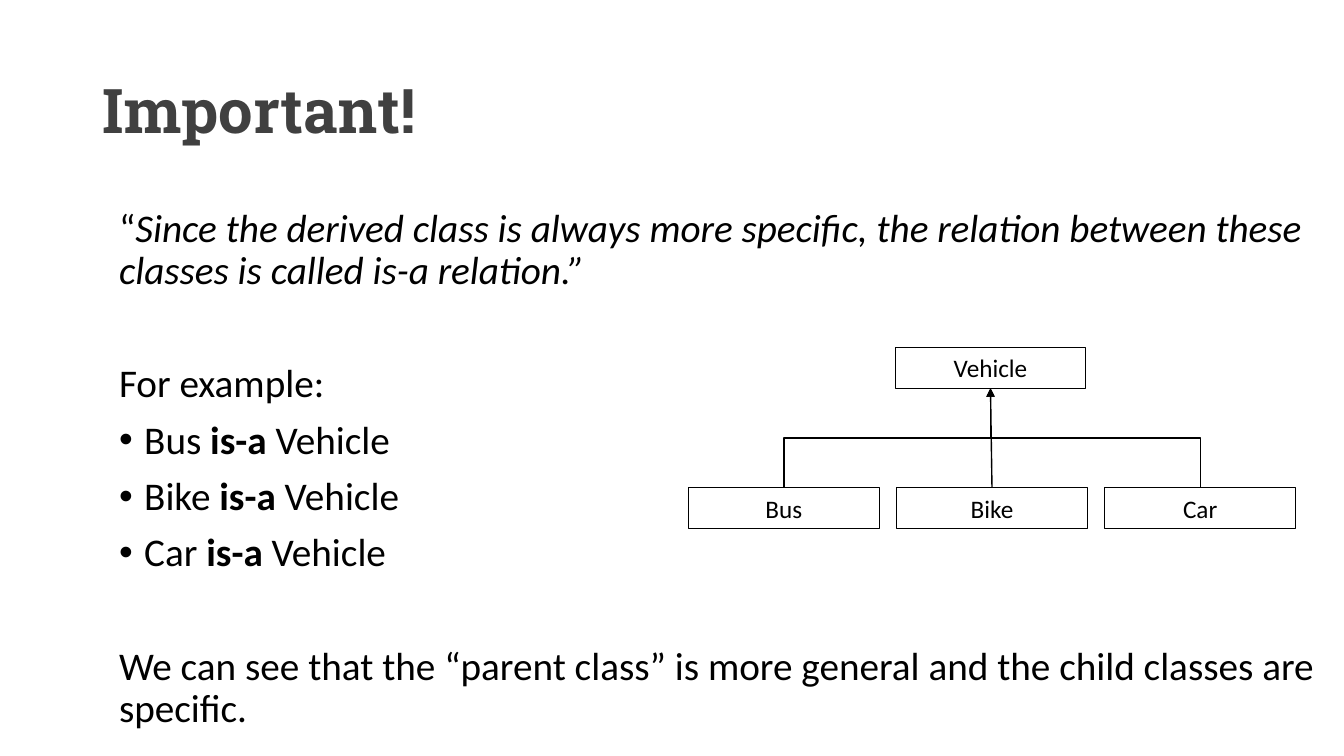
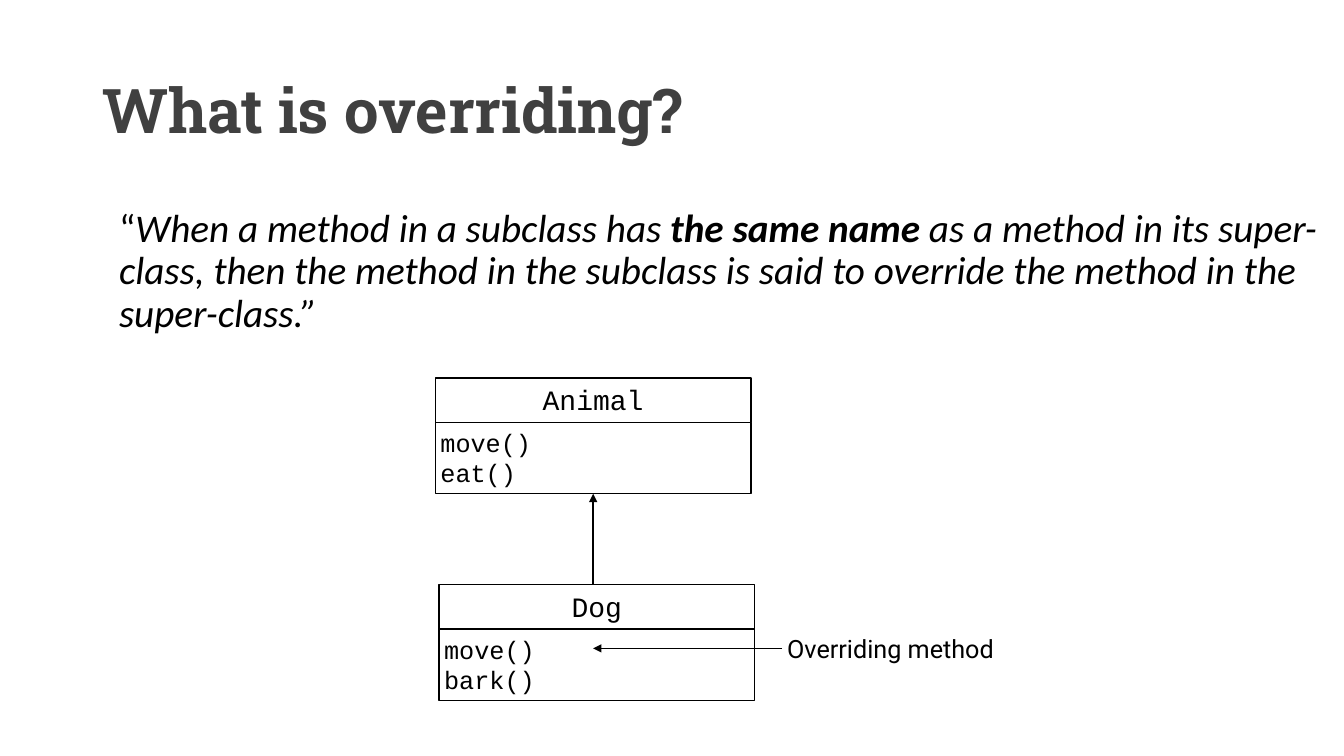
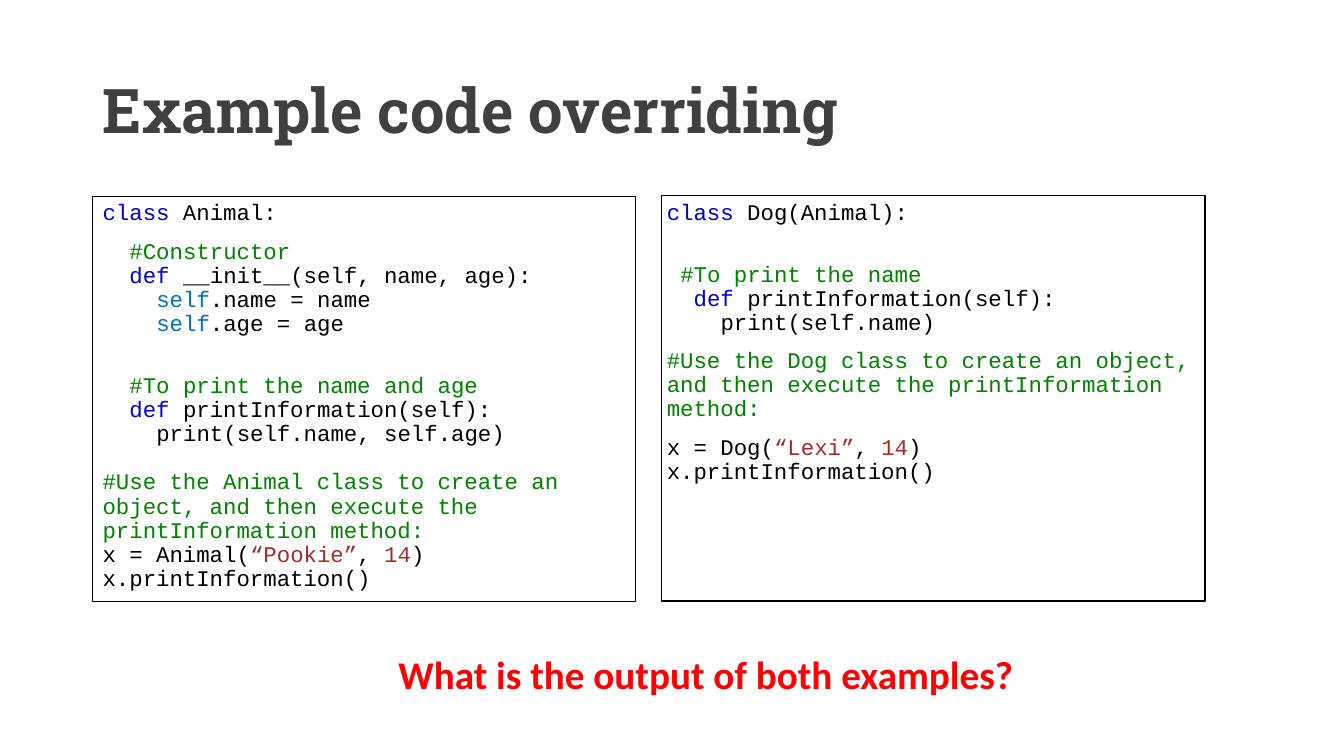
from dataclasses import dataclass

from lxml.etree import SubElement
from pptx import Presentation
from pptx.dml.color import RGBColor
from pptx.enum.shapes import MSO_CONNECTOR as Link, MSO_SHAPE as Preset
from pptx.enum.text import MSO_ANCHOR as Anchor, MSO_AUTO_SIZE as AutoSize, PP_ALIGN as Align
from pptx.oxml.ns import qn
from pptx.util import Pt


@dataclass(frozen=True)
class Theme:
    # Colours
    title: str = "404040"
    ink: str = "000000"
    keyword: str = "0000CD"
    own: str = "0070C0"
    comment: str = "008000"
    literal: str = "A52A2A"
    question: str = "FF0000"
    # Fonts
    title_font: str = "Roboto Slab"
    body_font: str = "Calibri"
    code_font: str = "Courier New"
    label_font: str = "Roboto"
    # Type sizes
    title_size: int = 44
    body_size: int = 28
    class_size: int = 20
    label_size: int = 18
    code_size: int = 16
    # Spacing
    leading: float = 0.9
    gap: int = 10
    thin: float = 0.75
    line: float = 1
    inset: float = 3.6


THEME = Theme()
TITLE_ONLY, TITLE_AND_BODY = 5, 1
TITLE_BOX = (66.2, 28.8, 828, 104.4)
BODY_BOX = (77.8, 145.4, 882, 384.5)
CODE_CHAR = 9.6  # width of one code character

PLAIN, BOLD, ITALIC = {}, {"bold": True}, {"italic": True}
BOLD_ITALIC = BOLD | ITALIC
KEYWORD = {"color": THEME.keyword}
OWN = {"color": THEME.own}
COMMENT = {"color": THEME.comment}
LITERAL = {"color": THEME.literal}

# Code lines: (indent in characters, space before, pieces)
ANIMAL_CODE = [
    (0, 0, [("class", KEYWORD), (" Animal:", PLAIN)]),
    (2, 10, [("#Constructor", COMMENT)]),
    (2, 0, [("def", KEYWORD), (" __init__(self, name, age):", PLAIN)]),
    (4, 0, [("self", OWN), (".name = name", PLAIN)]),
    (4, 0, [("self", OWN), (".age = age", PLAIN)]),
    (2, 27, [("#To print the name and age", COMMENT)]),
    (2, 0, [("def ", KEYWORD), ("printInformation(self):", PLAIN)]),
    (4, 0, [("print(self.name, self.age)", PLAIN)]),
    (0, 17, [("#Use the Animal class to create an object, and then execute "
              "the printInformation method:", COMMENT)]),
    (0, 0, [("x = Animal(", PLAIN), ("“Pookie”", LITERAL), (", ", PLAIN),
            ("14", LITERAL), (")", PLAIN)]),
    (0, 0, [("x.printInformation()", PLAIN)]),
]
DOG_CODE = [
    (0, 0, [("class", KEYWORD), (" Dog(Animal):", PLAIN)]),
    (1, 27, [("#To print the name", COMMENT)]),
    (2, 0, [("def ", KEYWORD), ("printInformation(self):", PLAIN)]),
    (4, 0, [("print(self.name)", PLAIN)]),
    (0, 10, [("#Use the Dog class to create an object, and then execute "
              "the printInformation method:", COMMENT)]),
    (0, 10, [("x = Dog(", PLAIN), ("“Lexi”", LITERAL), (",", PLAIN),
             (" 14", LITERAL), (")", PLAIN)]),
    (0, 0, [("x.printInformation()", PLAIN)]),
]


# Text
def style_run(run, font, size, color=THEME.ink, bold=False, italic=False):
    run.font.name = font
    run.font.size = Pt(size)
    run.font.color.rgb = RGBColor.from_string(color)
    run.font.bold = bold
    run.font.italic = italic


def write(paragraph, pieces, font, size, before=0, margin=0, bullet=False):
    for text, style in pieces:
        run = paragraph.add_run()
        run.text = text
        style_run(run, font, size, **style)
    paragraph.line_spacing = THEME.leading
    paragraph.space_before = Pt(before)
    properties = paragraph._p.get_or_add_pPr()
    properties.set("marL", str(Pt(margin)))
    properties.set("indent", str(Pt(-margin if bullet else 0)))
    if bullet:
        SubElement(properties, qn("a:buChar")).set("char", "•")
    else:
        SubElement(properties, qn("a:buNone"))


def paragraphs(frame, count):
    """Return the frame's first paragraph and as many new ones as needed."""
    return [frame.paragraphs[0]] + [frame.add_paragraph() for _ in range(count - 1)]


def set_frame(frame, inset=None):
    frame.word_wrap = True
    frame.auto_size = AutoSize.NONE
    frame.vertical_anchor = Anchor.TOP
    if inset is not None:
        frame.margin_left = frame.margin_right = Pt(inset)
        frame.margin_top = frame.margin_bottom = Pt(inset)


# Slides
def place_master(master):
    for placeholder, box in zip(master.placeholders, (TITLE_BOX, BODY_BOX)):
        placeholder.left, placeholder.top, placeholder.width, placeholder.height = map(Pt, box)


def new_slide(prs, title, layout):
    slide = prs.slides.add_slide(prs.slide_layouts[layout])
    frame = slide.shapes.title.text_frame
    frame.text = title
    frame.auto_size = AutoSize.NONE
    heading = frame.paragraphs[0]
    heading.alignment = Align.LEFT
    heading.line_spacing = THEME.leading
    style_run(heading.runs[0], THEME.title_font, THEME.title_size, THEME.title, bold=True)
    return slide


def fill_body(slide, items):
    """Each item is (pieces, space before, is bullet)."""
    frame = slide.placeholders[1].text_frame
    set_frame(frame)
    for paragraph, (pieces, before, bullet) in zip(paragraphs(frame, len(items)), items):
        write(paragraph, pieces, THEME.body_font, THEME.body_size, before,
              18 if bullet else 0, bullet)


# Boxes
def outline_box(slide, box, weight, inset=None):
    shape = slide.shapes.add_shape(Preset.RECTANGLE, *map(Pt, box))
    shape.shadow.inherit = False
    shape.fill.background()
    shape.line.color.rgb = RGBColor.from_string(THEME.ink)
    shape.line.width = Pt(weight)
    set_frame(shape.text_frame, inset)
    return shape


def set_label(shape, text, font, size, align):
    shape.text_frame.text = text
    for paragraph in shape.text_frame.paragraphs:
        paragraph.alignment = align
        style_run(paragraph.runs[0], font, size)


def node(slide, name, left, top):
    shape = outline_box(slide, (left, top, 136.2, 29), THEME.thin)
    set_label(shape, name, THEME.body_font, THEME.label_size, Align.CENTER)
    return shape


def class_box(slide, name, methods, left, top):
    """Draw a class with its methods and return the methods box."""
    width, head_height = 225.4, 31.7
    head = outline_box(slide, (left, top, width, head_height), THEME.line, THEME.inset)
    set_label(head, name, THEME.code_font, THEME.class_size, Align.CENTER)
    members = outline_box(slide, (left, top + head_height, width, 51), THEME.line, THEME.inset)
    set_label(members, methods, THEME.code_font, THEME.label_size, Align.LEFT)
    return members


def code_box(slide, code, left, top, weight, inset=None):
    frame = outline_box(slide, (left, top, 388.1, 289.5), weight, inset).text_frame
    for paragraph, (indent, before, pieces) in zip(paragraphs(frame, len(code)), code):
        paragraph.alignment = Align.LEFT
        write(paragraph, pieces, THEME.code_font, THEME.code_size, before, indent * CODE_CHAR)


# Arrows
def arrow(slide, kind, start, end):
    link = slide.shapes.add_connector(kind, *map(int, (*start, *end)))
    link.line.color.rgb = RGBColor.from_string(THEME.ink)
    link.line.width = Pt(THEME.line)
    properties = link._element.spPr
    SubElement(properties.find(qn("a:ln")), qn("a:tailEnd")).set("type", "triangle")
    SubElement(properties, qn("a:effectLst"))
    return link


def top_middle(shape):
    return shape.left + shape.width // 2, shape.top


def bottom_middle(shape):
    return shape.left + shape.width // 2, shape.top + shape.height


def elbow_up(slide, child, parent):
    """Bent arrow that leaves the child upwards: a quarter-turned elbow."""
    (x1, y1), (x2, y2) = top_middle(child), bottom_middle(parent)
    mid_x, mid_y = (x1 + x2) / 2, (y1 + y2) / 2
    rise, run = (y1 - y2) / 2, (x2 - x1) / 2
    link = arrow(slide, Link.ELBOW, (mid_x - rise, mid_y - run), (mid_x + rise, mid_y + run))
    link._element.spPr.find(qn("a:xfrm")).set("rot", str(270 * 60000))


# Content
def is_a_slide(prs):
    slide = new_slide(prs, "Important!", TITLE_AND_BODY)
    children = ("Bus", "Bike", "Car")
    quote = [("“", PLAIN),
             ("Since the derived class is always more specific, the relation between "
              "these classes is called is-a relation.”", ITALIC)]
    summary = ("We can see that the “parent class” is more general and the child "
               "classes are specific.")
    wide_gap = 50.5
    fill_body(slide, [
        (quote, THEME.gap, False),
        ([("For example:", PLAIN)], wide_gap, False),
        *[([(f"{child} ", PLAIN), ("is-a ", BOLD), ("Vehicle", PLAIN)], THEME.gap, True)
          for child in children],
        ([(summary, PLAIN)], wide_gap, False),
    ])
    vehicle = node(slide, "Vehicle", 639.4, 248.4)
    bus, bike, car = [node(slide, child, 491.8 + 148.7 * column, 348.5)
                      for column, child in enumerate(children)]
    elbow_up(slide, bus, vehicle)
    elbow_up(slide, car, vehicle)
    link = arrow(slide, Link.STRAIGHT, top_middle(bike), bottom_middle(vehicle))
    link.begin_connect(bike, 0)
    link.end_connect(vehicle, 2)


def overriding_slide(prs):
    slide = new_slide(prs, "What is overriding?", TITLE_AND_BODY)
    fill_body(slide, [([
        ("“", PLAIN),
        ("When a method in a subclass has", ITALIC),
        (" the same name", BOLD_ITALIC),
        (" as a method in its super-class, then the method in the subclass is said to "
         "override the method in the super-class.”", ITALIC),
    ], THEME.gap, False)])

    animal = class_box(slide, "Animal", "move()\neat()", 311, 270)
    dog_top = 417.6
    class_box(slide, "Dog", "move()\nbark()", 313.6, dog_top)
    axis = bottom_middle(animal)[0]
    inherits = arrow(slide, Link.STRAIGHT, (axis, Pt(dog_top)), bottom_middle(animal))
    inherits.end_connect(animal, 2)

    note = slide.shapes.add_textbox(Pt(558.7), Pt(448.6), Pt(168.5), Pt(29))
    set_frame(note.text_frame, THEME.inset)
    set_label(note, "Overriding method", THEME.label_font, THEME.label_size, Align.LEFT)
    note_middle = note.top + note.height // 2
    pointer = arrow(slide, Link.STRAIGHT, (note.left, note_middle), (axis, note_middle))
    pointer.begin_connect(note, 1)


def code_slide(prs):
    slide = new_slide(prs, "Example code overriding", TITLE_ONLY)
    code_box(slide, ANIMAL_CODE, 66.2, 140.4, THEME.thin)
    code_box(slide, DOG_CODE, 472.7, 139.8, THEME.line, THEME.inset)

    question = slide.shapes.add_textbox(Pt(66.2), Pt(464.4), Pt(882), Pt(65.5))
    set_frame(question.text_frame)
    paragraph = question.text_frame.paragraphs[0]
    paragraph.alignment = Align.CENTER
    write(paragraph, [("What is the output of both examples? ",
                       {"color": THEME.question, "bold": True})],
          THEME.body_font, THEME.body_size, THEME.gap)


def main():
    prs = Presentation()
    prs.slide_width, prs.slide_height = Pt(960), Pt(540)
    place_master(prs.slide_master)
    is_a_slide(prs)
    overriding_slide(prs)
    code_slide(prs)
    prs.save("out.pptx")


if __name__ == "__main__":
    main()
